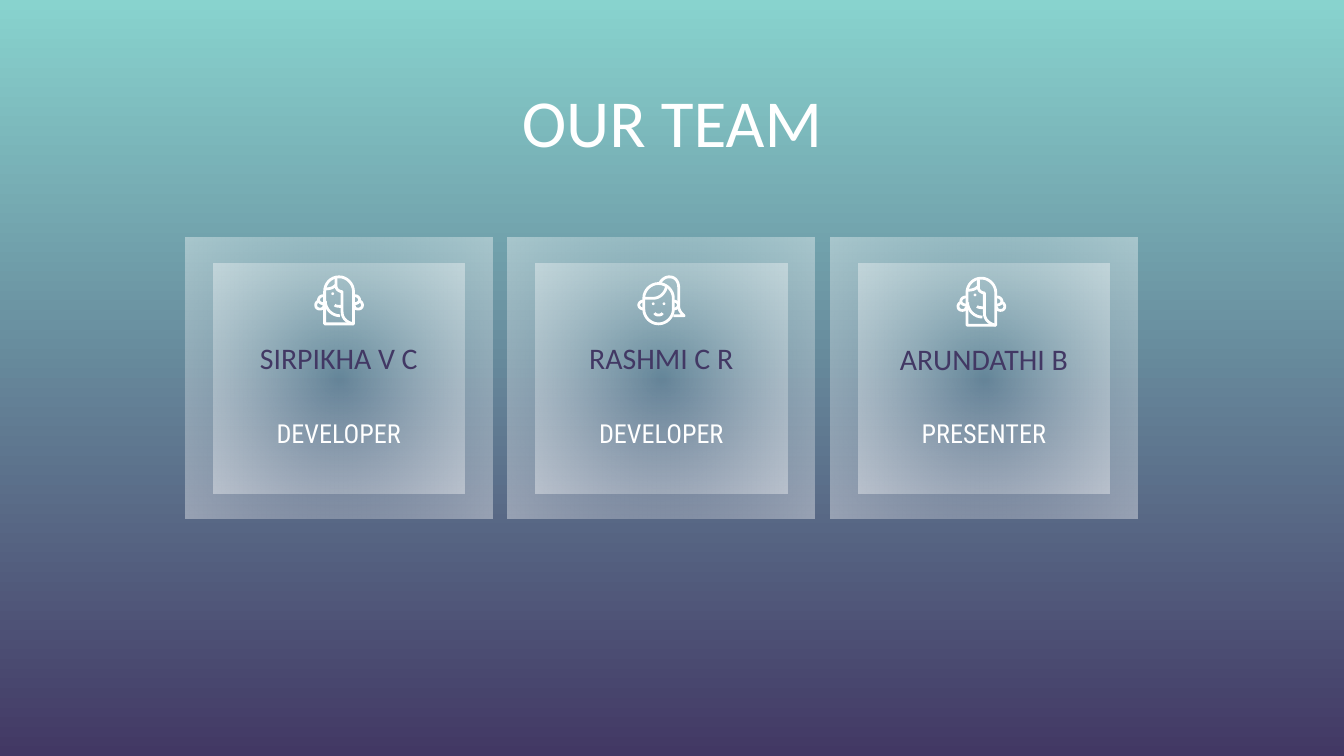
from lxml import etree
from pptx import Presentation
from pptx.dml.color import RGBColor
from pptx.enum import shapes, text
from pptx.oxml import parse_xml
from pptx.oxml.ns import nsdecls
from pptx.util import Pt

COLORS = {"top": "88D3CE", "purple": "423864", "white": "FFFFFF"}
RGB = {name: RGBColor.from_string(value) for name, value in COLORS.items()}

GLOW = f"""<a:gradFill {nsdecls("a")} rotWithShape="1"><a:gsLst>
<a:gs pos="0"><a:srgbClr val="{COLORS['white']}"><a:alpha val="0"/></a:srgbClr></a:gs>
<a:gs pos="100000"><a:srgbClr val="{COLORS['white']}"><a:alpha val="39000"/></a:srgbClr></a:gs>
</a:gsLst><a:path path="circle"><a:fillToRect l="50000" t="50000" r="50000" b="50000"/></a:path></a:gradFill>"""

UNIT = 0.72
EAR = [(7, 15), (4, 15, 3, 17, 3, 18), (3, 20, 5, 21, 7, 21)]
CURL = [(3, 19), (0, 20, 0, 25, 4, 25), (6, 25, 7, 24, 7, 22)]
MIRRORED = [
    [tuple(36.5 - v if i % 2 == 0 else v for i, v in enumerate(seg)) for seg in line]
    for line in (EAR, CURL)
]
LONG_HAIR = {
    "eyes": [(13.5, 13.5)],
    "lines": [
        [(7.5, 36), (7.5, 12), (7.5, 6, 12, 1, 18.25, 1), (24, 1, 29, 6, 29, 12), (29, 36), (7.5, 36)],
        [(29, 36), (24, 35, 20.5, 32, 20.5, 27), (20.5, 12), (18, 12, 16, 10, 16, 8), (16, 2)],
        [(16, 7), (14, 9, 12, 10, 8, 10)],
        [(8, 19), (8, 25, 13, 30, 19, 30)],
        [(15, 22), (16, 23, 18, 23, 20, 23)],
        EAR, CURL, *MIRRORED,
    ],
}
PONYTAIL = {
    "eyes": [(12, 21), (20, 21)],
    "lines": [
        [(5, 17), (5, 11, 10, 6, 16, 6), (22, 6, 27, 11, 27, 17), (27, 25),
         (27, 31, 22, 36, 16, 36), (10, 36, 5, 31, 5, 25), (5, 17)],
        [(5, 17), (12, 17), (17, 17, 21, 13, 22, 8)],
        [(17, 5.5), (19, 2, 22, 1, 24, 1), (28, 1, 31, 4, 31, 9), (31, 23), (31, 26, 33, 28, 35, 30), (27, 30)],
        [(5, 19), (0, 19, 0, 25, 5, 25)],
        [(27, 19), (32, 19, 32, 25, 27, 25)],
        [(13, 28), (14, 30, 18, 30, 19, 28)],
    ],
}
TEAM = [
    ("SIRPIKHA V C", "DEVELOPER", LONG_HAIR, 168.5, 147.6),
    ("RASHMI C R", "DEVELOPER", PONYTAIL, 341.3, 147.6),
    ("ARUNDATHI B", "PRESENTER", LONG_HAIR, 512.6, 148.3),
]


def format_text(sp, wording, size, font, color, anchor):
    tf = sp.text_frame
    tf.text = wording
    tf.word_wrap = True
    tf.auto_size = text.MSO_AUTO_SIZE.NONE
    tf.vertical_anchor = anchor
    tf.margin_left = tf.margin_right = tf.margin_top = tf.margin_bottom = Pt(7.2)
    p = tf.paragraphs[0]
    p.alignment = text.PP_ALIGN.CENTER
    r = p.runs[0]
    r.font.size = Pt(size)
    r.font.name = font
    r.font.color.rgb = RGB[color]


def trace(line, left, top):
    points = [line[0]]
    for seg in line[1:]:
        if len(seg) == 2:
            points.append(seg)
            continue
        x0, y0 = points[-1]
        x1, y1, x2, y2, x3, y3 = seg
        for t in (k / 8 for k in range(1, 9)):
            a, b, c, d = (1 - t) ** 3, 3 * t * (1 - t) ** 2, 3 * t * t * (1 - t), t ** 3
            points.append((a * x0 + b * x1 + c * x2 + d * x3, a * y0 + b * y1 + c * y2 + d * y3))
    return [(Pt(left + UNIT * x), Pt(top + UNIT * y)) for x, y in points]


prs = Presentation()
prs.slide_width, prs.slide_height = Pt(720), Pt(405)
s = prs.slides.add_slide(prs.slide_layouts[5])
fill = s.background.fill
fill.gradient()
fill.gradient_angle = 270
for stop, name in zip(fill.gradient_stops, ("top", "purple")):
    stop.color.rgb = RGB[name]

title = s.shapes.title
title.left, title.top, title.width, title.height = Pt(36), Pt(41), Pt(648), Pt(52.6)
format_text(title, "OUR TEAM", 36, "Calibri", "white", text.MSO_ANCHOR.BOTTOM)

for i, (name, role, icon, left, top) in enumerate(TEAM):
    dx = 172.8 * i
    for x, y, w, h in ((99.2, 127.2, 164.4, 150.6), (114.2, 141, 134.8, 123.4)):
        sp = s.shapes.add_shape(shapes.MSO_SHAPE.RECTANGLE, Pt(x + dx), Pt(y), Pt(w), Pt(h))
        sp.shadow.inherit = False
        sp.line.fill.background()
        sp.fill.background()
        no_fill = sp._element.spPr.find("{*}noFill")
        sp._element.spPr.replace(no_fill, parse_xml(GLOW))

    tb = s.shapes.add_textbox(Pt(119.6 + dx), Pt(162.7), Pt(123.8), Pt(45.4 + top - 147.6))
    format_text(tb, name, 16, "Calibri", "purple", text.MSO_ANCHOR.BOTTOM)
    tb = s.shapes.add_textbox(Pt(119.6 + dx), Pt(217.4), Pt(123.8), Pt(28.8))
    format_text(tb, role, 14, "Roboto Condensed", "white", text.MSO_ANCHOR.MIDDLE)

    paths = [trace(line, left, top) for line in icon["lines"]]
    fb = s.shapes.build_freeform(*paths[0][0])
    fb.add_line_segments(paths[0][1:], close=False)
    for points in paths[1:]:
        fb.move_to(*points[0])
        fb.add_line_segments(points[1:], close=False)
    face = fb.convert_to_shape()
    face.shadow.inherit = False
    face.fill.background()
    face.line.color.rgb = RGB["white"]
    face.line.width = Pt(1.5)
    for x, y in icon["eyes"]:
        eye = s.shapes.add_shape(shapes.MSO_SHAPE.OVAL, Pt(left + UNIT * (x - 1)), Pt(top + UNIT * (y - 1)),
                                 Pt(2 * UNIT), Pt(2 * UNIT))
        eye.shadow.inherit = False
        eye.fill.solid()
        eye.fill.fore_color.rgb = RGB["white"]
        eye.line.fill.background()

prs.save("out.pptx")
